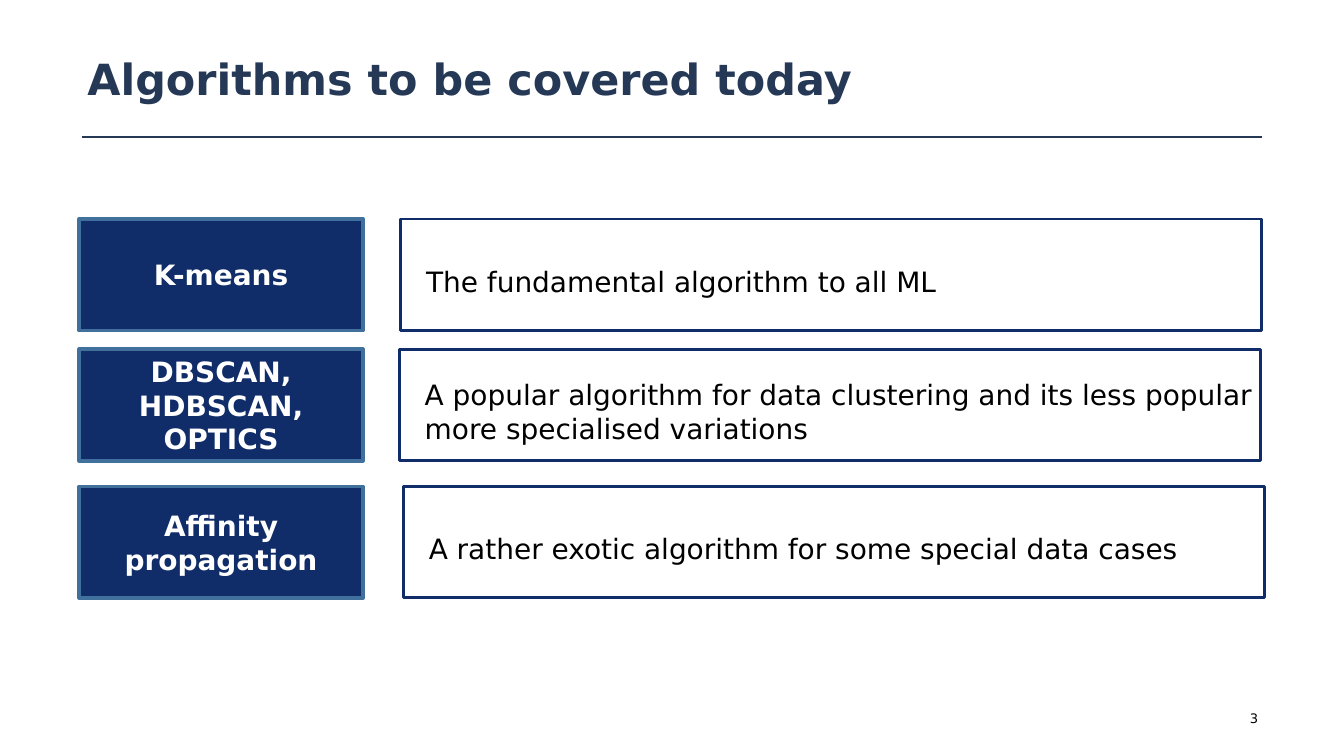
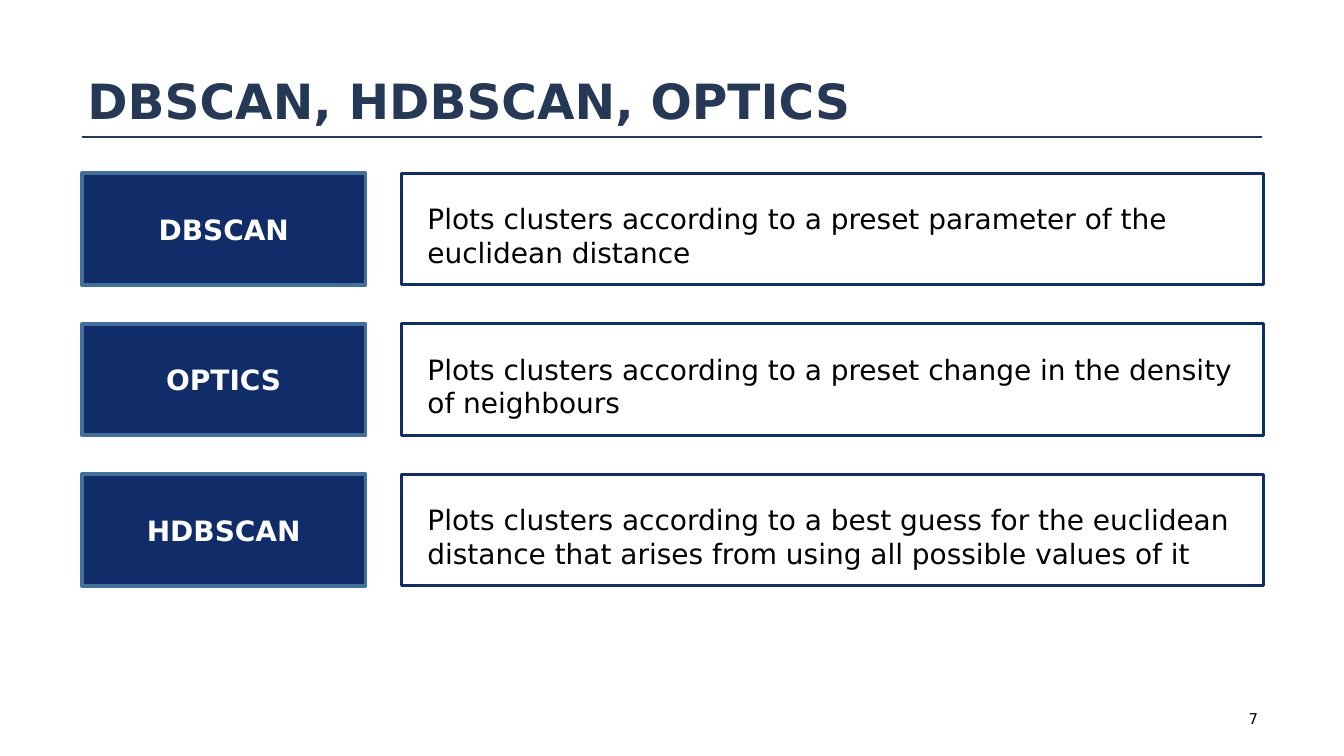
from lxml.etree import SubElement
from pptx import Presentation
from pptx.dml.color import RGBColor
from pptx.enum.shapes import MSO_CONNECTOR, MSO_SHAPE
from pptx.enum.text import MSO_ANCHOR, PP_ALIGN
from pptx.oxml.ns import qn
from pptx.util import Inches, Pt

FONT = "DejaVu Sans"
TITLE_COLOUR = "253957"
NAVY = "102D69"
LABEL_BORDER = "41709C"
WHITE = "FFFFFF"
BLACK = "000000"

SLIDE_WIDTH = 10
SLIDE_HEIGHT = SLIDE_WIDTH * 9 / 16
ROW_HEIGHT = 0.83
LABEL_WIDTH = 2.11
DETAIL_WIDTH = 6.41


def colour(hex_string):
    return RGBColor.from_string(hex_string)


def write_text(shape, text, size, color=BLACK, bold=False,
               align=PP_ALIGN.LEFT, insets=(0, 0, 0, 0)):
    """Fill a shape with one middle-anchored paragraph; insets run left, top, right, bottom."""
    frame = shape.text_frame
    frame.word_wrap = True
    frame.vertical_anchor = MSO_ANCHOR.MIDDLE
    (frame.margin_left, frame.margin_top,
     frame.margin_right, frame.margin_bottom) = map(Inches, insets)
    paragraph = frame.paragraphs[0]
    paragraph.alignment = align
    run = paragraph.add_run()
    run.text = text
    run.font.name = FONT
    run.font.size = Pt(size)
    run.font.bold = bold
    run.font.color.rgb = colour(color)


def add_text_box(slide, box, text, **text_format):
    shape = slide.shapes.add_textbox(*map(Inches, box))
    write_text(shape, text, insets=(0.04,) * 4, **text_format)


def add_rectangle(slide, box, border, border_width, fill=None):
    shape = slide.shapes.add_shape(MSO_SHAPE.RECTANGLE, *map(Inches, box))
    shape.shadow.inherit = False
    if fill:
        shape.fill.solid()
        shape.fill.fore_color.rgb = colour(fill)
    else:
        shape.fill.background()
    shape.line.color.rgb = colour(border)
    shape.line.width = Pt(border_width)
    return shape


def add_title(slide, box, text, size):
    """Place the title and the rule beneath it."""
    rule = slide.shapes.add_connector(
        MSO_CONNECTOR.STRAIGHT, *map(Inches, (0.61, 1.02, 9.39, 1.02)))
    rule.line.color.rgb = colour(TITLE_COLOUR)
    rule.line.width = Pt(1)
    SubElement(rule._element.spPr, qn("a:effectLst"))
    add_text_box(slide, box, text, size=size, color=TITLE_COLOUR, bold=True)


def add_page_number(slide, box, number, size):
    add_text_box(slide, box, str(number), size=size, align=PP_ALIGN.RIGHT)


def add_algorithm_row(slide, left, detail_left, top, name, description):
    label = add_rectangle(slide, (left, top, LABEL_WIDTH, ROW_HEIGHT),
                          LABEL_BORDER, 2.04, fill=NAVY)
    write_text(label, name, size=15, color=WHITE, bold=True, align=PP_ALIGN.CENTER)
    detail = add_rectangle(
        slide, (detail_left, top, DETAIL_WIDTH, ROW_HEIGHT), NAVY, 1.56)
    write_text(detail, description, size=15, insets=(0.19, 0.09, 0, 0))


def build_overview(slide):
    add_title(slide, (0.61, 0.35, 7.25, 0.46), "Algorithms to be covered today", 23)
    rows = [
        (2.98, 1.63, "K-means", "The fundamental algorithm to all ML"),
        (2.97, 2.6, "DBSCAN, HDBSCAN, OPTICS",
         "A popular algorithm for data clustering and its less popular "
         "more specialised variations"),
        (3, 3.62, "Affinity propagation",
         "A rather exotic algorithm for some special data cases"),
    ]
    for row in rows:
        add_algorithm_row(slide, 0.59, *row)
    add_page_number(slide, (9.25, 5.25, 0.15, 0.19), 3, 7)


def build_density_methods(slide):
    add_title(slide, (0.61, 0.49, 7.25, 0.51), "DBSCAN, HDBSCAN, OPTICS", 26)
    methods = [
        ("DBSCAN",
         "Plots clusters according to a preset parameter of the euclidean distance"),
        ("OPTICS",
         "Plots clusters according to a preset change in the density of neighbours"),
        ("HDBSCAN",
         "Plots clusters according to a best guess for the euclidean distance "
         "that arises from using all possible values of it"),
    ]
    for index, (name, description) in enumerate(methods):
        add_algorithm_row(slide, 0.61, 2.99, 1.29 + 1.12 * index, name, description)
    add_page_number(slide, (9.25, 5.24, 0.15, 0.21), 7, 8)


def main():
    presentation = Presentation()
    presentation.slide_width = Inches(SLIDE_WIDTH)
    presentation.slide_height = Inches(SLIDE_HEIGHT)
    blank_layout = presentation.slide_layouts[6]
    for build_slide in (build_overview, build_density_methods):
        build_slide(presentation.slides.add_slide(blank_layout))
    presentation.save("out.pptx")


if __name__ == "__main__":
    main()
